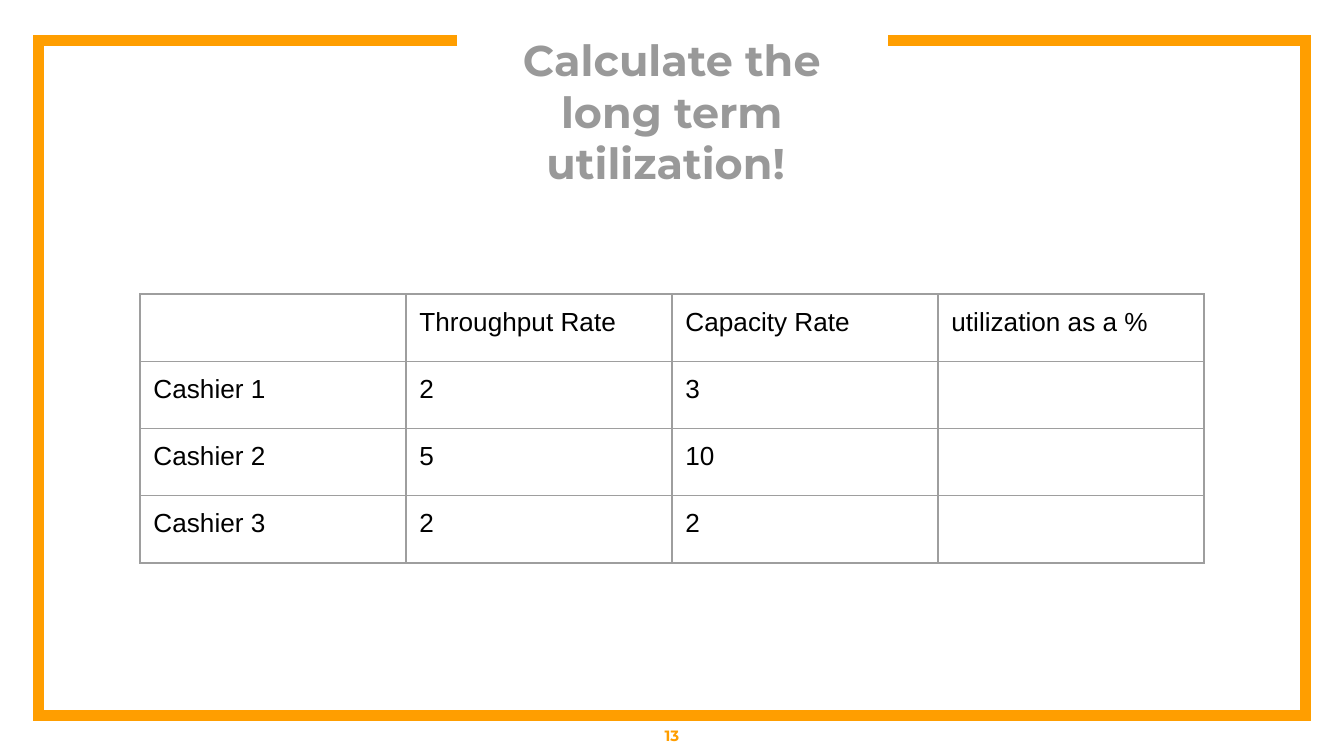
from dataclasses import dataclass

from lxml.etree import SubElement
from pptx import Presentation
from pptx.dml.color import RGBColor as Color
from pptx.enum.text import MSO_ANCHOR as Anchor, PP_ALIGN as Align
from pptx.oxml.ns import qn
from pptx.util import Pt


@dataclass(frozen=True)
class Theme:
    accent: str = "FF9E00"
    title: str = "999999"
    ink: str = "000000"
    grid: str = "9E9E9E"
    heading_font: str = "Montserrat"
    body_font: str = "Arial"
    title_size: float = 23
    cell_size: float = 14
    number_size: float = 8
    frame_width: float = 6
    grid_width: float = 0.75
    padding: float = 7.2


class Painter:
    def __init__(self, page, theme):
        self.page = page
        self.theme = theme

    def span(self, para, text, size, color, font, bold=False):
        span = para.add_run()
        span.text = text
        span.font.size = Pt(size)
        span.font.name = font
        span.font.bold = bold
        span.font.color.rgb = Color.from_string(color)

    def frame(self, points):
        corners = [(Pt(x), Pt(y)) for x, y in points]
        builder = self.page.shapes.build_freeform(*corners[0])
        builder.add_line_segments(corners[1:], close=False)
        outline = builder.convert_to_shape()
        outline.shadow.inherit = False
        outline.fill.background()
        outline.line.width = Pt(self.theme.frame_width)
        outline.line.color.rgb = Color.from_string(self.theme.accent)
        SubElement(outline.line._get_or_add_ln(), qn("a:miter"), lim="800000")

    def heading(self, text, left, top, width, height, size, color, padding=0):
        box = self.page.shapes.add_textbox(Pt(left), Pt(top), Pt(width), Pt(height))
        body = box.text_frame
        body.word_wrap = True
        body.vertical_anchor = Anchor.MIDDLE
        body.margin_left = body.margin_right = Pt(padding)
        body.margin_top = body.margin_bottom = Pt(padding)
        para = body.paragraphs[0]
        para.alignment = Align.CENTER
        self.span(para, text, size, color, self.theme.heading_font, bold=True)

    def borders(self, cell):
        properties = cell._tc.get_or_add_tcPr()
        for side in ("lnL", "lnR", "lnT", "lnB"):
            edge = SubElement(properties, qn(f"a:{side}"),
                              w=str(Pt(self.theme.grid_width)))
            fill = SubElement(edge, qn("a:solidFill"))
            SubElement(fill, qn("a:srgbClr"), val=self.theme.grid)

    def table(self, rows, left, top, column_width, row_height):
        count = len(rows[0])
        table = self.page.shapes.add_table(
            len(rows), count, Pt(left), Pt(top),
            Pt(column_width * count), Pt(row_height * len(rows))).table
        table.first_row = table.horz_banding = False
        for column in table.columns:
            column.width = Pt(column_width)
        for r, texts in enumerate(rows):
            table.rows[r].height = Pt(row_height)
            for c, text in enumerate(texts):
                cell = table.cell(r, c)
                self.borders(cell)
                cell.fill.background()
                cell.margin_left = cell.margin_right = Pt(self.theme.padding)
                cell.margin_top = cell.margin_bottom = Pt(self.theme.padding)
                if text:
                    self.span(cell.text_frame.paragraphs[0], text,
                              self.theme.cell_size, self.theme.ink,
                              self.theme.body_font)


def main():
    deck = Presentation()
    deck.slide_width, deck.slide_height = Pt(720), Pt(405)
    page = deck.slides.add_slide(deck.slide_layouts[6])
    theme = Theme()
    painter = Painter(page, theme)

    # Frame, open at the top around the title
    left, top, right, bottom = 20.5, 21.6, 699.5, 383.5
    painter.frame([(245, top), (left, top), (left, bottom),
                   (right, bottom), (right, top), (476, top)])

    # Title and page number
    painter.heading("Calculate the long term utilization! ", 255.3, 45.6, 209.4, 28,
                    theme.title_size, theme.title)
    painter.heading("13", 0, 383.5, 720, 21.5,
                    theme.number_size, theme.accent, theme.padding)

    # Cashier rates, with the utilization left to fill in
    painter.table([
        ("", "Throughput Rate", "Capacity Rate", "utilization as a %"),
        ("Cashier 1", "2", "3", ""),
        ("Cashier 2", "5", "10", ""),
        ("Cashier 3", "2", "2", ""),
    ], left=75, top=157.5, column_width=142.5, row_height=34.5)

    deck.save("out.pptx")


if __name__ == "__main__":
    main()
